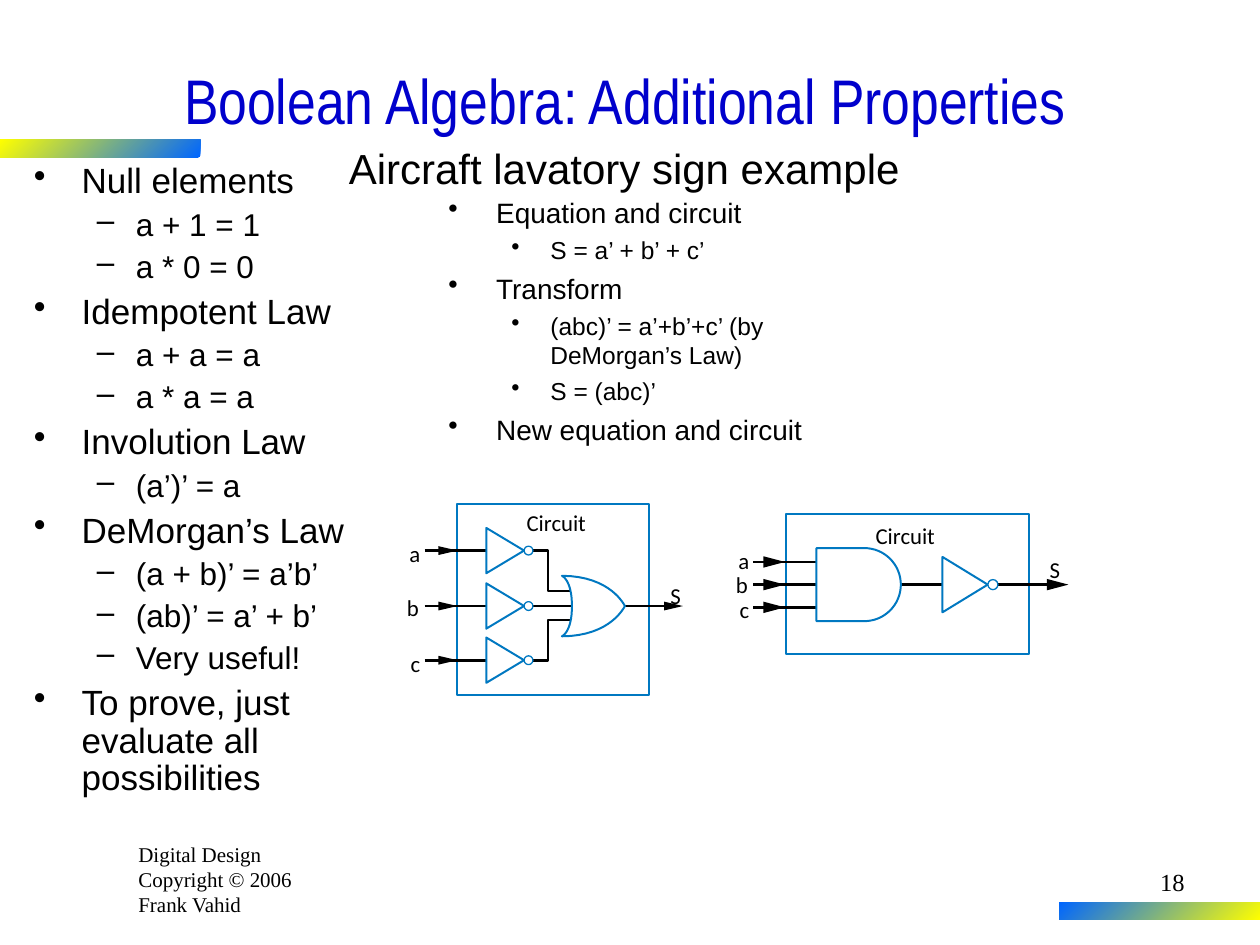
from math import cos, pi, sin
from lxml.etree import SubElement
from pptx import Presentation
from pptx.dml.color import RGBColor
from pptx.enum.shapes import MSO_CONNECTOR, MSO_SHAPE
from pptx.enum.text import MSO_ANCHOR, PP_ALIGN
from pptx.oxml.ns import qn
from pptx.util import Inches, Pt

BLACK, WHITE, BLUE = "000000", "FFFFFF", "0078C1"
PAD = (0.1, 0.05)
LAWS = [
    (0, "Null elements"), (1, "a + 1 = 1"), (1, "a * 0 = 0"),
    (0, "Idempotent Law"), (1, "a + a = a"), (1, "a * a = a"),
    (0, "Involution Law"), (1, "(a’)’ = a"),
    (0, "DeMorgan’s Law"), (1, "(a + b)’ = a’b’"), (1, "(ab)’ = a’ + b’"),
    (1, "Very useful!"), (0, "To prove, just evaluate all possibilities"),
]
STEPS = [
    (0, "Equation and circuit"), (1, "S = a’ + b’ + c’"),
    (0, "Transform"), (1, "(abc)’ = a’+b’+c’ (by DeMorgan’s Law)"),
    (1, "S = (abc)’"), (0, "New equation and circuit"),
]


def color(text):
    """Turn a hex string into a colour."""
    return RGBColor.from_string(text)


def apply(item, values):
    """Set each named value on an object."""
    for name, value in values.items():
        setattr(item, name, value)


def frame(shapes, box, pad=PAD, **values):
    """Add a text box and return its text frame."""
    text = shapes.add_textbox(*map(Inches, box)).text_frame
    side, edge = map(Inches, pad)
    apply(text, dict(margin_left=side, margin_right=side, margin_top=edge,
                     margin_bottom=edge, word_wrap=True) | values)
    return text


def write(para, text, size, face, tint=BLACK):
    """Fill one paragraph with styled text."""
    para.text = text
    apply(para.font, dict(size=Pt(size), name=face))
    para.font.color.rgb = color(tint)


def label(shapes, box, lines, size, face, tint=BLACK, align=PP_ALIGN.LEFT, **values):
    """Add plain lines of text in a box."""
    text = frame(shapes, box, **values)
    for row, line in enumerate(lines):
        para = text.paragraphs[0] if row == 0 else text.add_paragraph()
        para.alignment = align
        write(para, line, size, face, tint)


def outline(shapes, box, items, sizes, marks, gaps, pitch):
    """Add a bulleted list of two levels."""
    text = frame(shapes, box)
    for row, (level, line) in enumerate(items):
        para = text.paragraphs[0] if row == 0 else text.add_paragraph()
        left, hang = ((0.38, 0.38), (0.81, 0.31))[level]
        props = para._p.get_or_add_pPr()
        props.set("marL", str(Inches(left)))
        props.set("indent", str(-Inches(hang)))
        SubElement(props, qn("a:buChar"), char=marks[level])
        apply(para, dict(level=level, line_spacing=pitch,
                         space_before=Pt(gaps[level] if row else 0)))
        write(para, line, sizes[level], "Arial")


def paint(shape, fill=None, line=None, width=1.13):
    """Give a shape its fill and line."""
    shape.shadow.inherit = False
    for part, tint in ((shape.fill, fill), (shape.line.fill, line)):
        if tint:
            part.solid()
            part.fore_color.rgb = color(tint)
        else:
            part.background()
    if line:
        shape.line.width = Pt(width)


def path(shapes, points, close=True, **look):
    """Draw an outline through points."""
    first, *rest = [tuple(map(Inches, point)) for point in points]
    build = shapes.build_freeform(*first)
    build.add_line_segments(rest, close=close)
    paint(build.convert_to_shape(), **look)


def preset(shapes, kind, box, **look):
    """Draw a preset shape."""
    paint(shapes.add_shape(kind, *map(Inches, box)), **look)


def wire(shapes, start, end, y):
    """Draw a level wire."""
    line = shapes.add_connector(MSO_CONNECTOR.STRAIGHT, *map(Inches, (start, y, end, y)))
    line.line.width = Pt(1.62)
    line.line.color.rgb = color(BLACK)
    SubElement(line._element.spPr, qn("a:effectLst"))


def arrow(shapes, tip, y, size):
    """Draw an arrowhead that points right."""
    span, half = size
    path(shapes, [(tip, y), (tip - span, y - half), (tip - span, y + half)], fill=BLACK)


def tag(shapes, x, y, text, width=0.1):
    """Add a small label in the circuit."""
    label(shapes, (x, y, width, 0.22), [text], 13, "Calibri", pad=(0, 0), word_wrap=False)


def negate(shapes, box, dot):
    """Draw an inverter, with its output bubble."""
    x, y, w, h = box
    mid = y + h / 2
    path(shapes, [(x, y), (x + w, mid), (x, y + h)], fill=WHITE, line=BLUE)
    preset(shapes, MSO_SHAPE.OVAL, (x + w, mid - dot / 2, dot, dot),
           fill=WHITE, line=BLUE, width=0.75)


def bend(start, one, two, end, steps=16):
    """Return points along a cubic curve."""
    spots = [step / steps for step in range(steps + 1)]
    return [tuple((1 - t) ** 3 * a + 3 * t * (1 - t) ** 2 * b
                  + 3 * t * t * (1 - t) * c + t ** 3 * d
                  for a, b, c, d in zip(start, one, two, end)) for t in spots]


def either(shapes, box):
    """Draw an OR gate."""
    x, y, w, h = box
    mid, low, inner = y + h / 2, y + h, x + 0.08
    tip = (x + w, mid)
    points = (bend(tip, tip, (x + 0.39, low), (x, low))
              + bend((x, low), (x, low), (inner, low - 0.03), (inner, mid))
              + bend((inner, mid), (inner, y + 0.03), (x, y), (x, y))
              + bend((x, y), (x + 0.39, y), tip, tip))
    path(shapes, points, fill=WHITE, line=BLUE)


def both(shapes, box):
    """Draw an AND gate."""
    x, y, w, h = box
    half = h / 2
    turns = [pi * step / 32 - pi / 2 for step in range(33)]
    curve = [(x + w - half + half * cos(t), y + half + half * sin(t)) for t in turns]
    path(shapes, [(x, y), *curve, (x, y + h)], fill=WHITE, line=BLUE)


def inputs(shapes, x, rows, tip, size, lift):
    """Draw the three named input wires."""
    for name, side, y, up in zip("abc", (0.38, 0.4, 0.37), rows, lift):
        wire(shapes, x - 0.26, x + 0.24, y)
        arrow(shapes, tip, y, size)
        tag(shapes, x - side, y - up, name)


def before(shapes, box):
    """Draw the circuit with three inverters and an OR gate."""
    x, y, w, h = box
    rows = [y + 0.37, y + 0.81, y + 1.24]
    mid = rows[1]
    preset(shapes, MSO_SHAPE.RECTANGLE, box, line=BLUE)
    tag(shapes, x + 0.55, y + 0.04, "Circuit", 0.54)
    inputs(shapes, x, rows, x, (0.15, 0.035), (0.09, 0.1, 0.08))
    for row, join in ((rows[0], mid - 0.12), (rows[2], mid + 0.11)):
        path(shapes, [(x + 0.9, join), (x + 0.72, join), (x + 0.72, row), (x + 0.55, row)],
             close=False, line=BLACK, width=1.62)
    wire(shapes, x + 0.59, x + 0.91, mid)
    wire(shapes, x + 1.33, x + 1.7, mid)
    arrow(shapes, x + 1.79, mid, (0.15, 0.035))
    tag(shapes, x + 1.69, y + 0.62, "S")
    either(shapes, (x + 0.83, y + 0.57, 0.5, 0.48))
    for row in rows:
        negate(shapes, (x + 0.23, row - 0.18, 0.3, 0.36), 0.07)


def after(shapes, box):
    """Draw the circuit with an AND gate and one inverter."""
    x, y, w, h = box
    rows = [y + 0.38, y + 0.56, y + 0.74]
    mid = rows[1]
    preset(shapes, MSO_SHAPE.RECTANGLE, box, line=BLUE)
    tag(shapes, x + 0.71, y + 0.06, "Circuit", 0.54)
    inputs(shapes, x, rows, x - 0.01, (0.17, 0.045), (0.12, 0.11, 0.09))
    wire(shapes, x + 0.87, x + 1.24, mid)
    wire(shapes, x + 1.68, x + 2.13, mid)
    arrow(shapes, x + 2.24, mid, (0.17, 0.045))
    tag(shapes, x + 2.09, y + 0.33, "S")
    both(shapes, (x + 0.24, mid - 0.29, 0.67, 0.58))
    negate(shapes, (x + 1.24, mid - 0.22, 0.36, 0.44), 0.08)


def band(shapes, box, tints):
    """Draw a strip with a colour gradient."""
    strip = shapes.add_shape(MSO_SHAPE.RECTANGLE, *map(Inches, box))
    paint(strip)
    strip.fill.gradient()
    strip.fill.gradient_angle = 135
    for stop, tint in zip(strip.fill.gradient_stops, tints):
        stop.color.rgb = color(tint)


def main():
    """Build and save the slide."""
    deck = Presentation()
    apply(deck, dict(slide_width=Inches(10), slide_height=Inches(7.5)))
    shapes = deck.slides.add_slide(deck.slide_layouts[6]).shapes
    label(shapes, (1, 6.63, 1.67, 0.7), ["Digital Design", "Copyright © 2006", "Frank Vahid"],
          12, "Times New Roman")
    tints = ("0066FF", "FFFF00")
    band(shapes, (0, 1.11, 1.59, 0.14), tints)
    band(shapes, (8.41, 7.16, 1.59, 0.14), tints[::-1])
    label(shapes, (0.25, 0.33, 9.42, 0.92), ["Boolean Algebra: Additional Properties"],
          36, "Arial Narrow", "0000CC", PP_ALIGN.CENTER, vertical_anchor=MSO_ANCHOR.MIDDLE)
    outline(shapes, (0.17, 1.25, 2.67, 5.33), LAWS, (20, 18), "•–", (5, 4.5), 0.9)
    before(shapes.add_group_shape().shapes, (3.63, 4, 1.52, 1.52))
    outline(shapes, (3.46, 1.5, 3.42, 5.33), STEPS, (16, 14), "••", (4, 3.5), 1.0)
    after(shapes.add_group_shape().shapes, (6.24, 4.08, 1.93, 1.11))
    label(shapes, (2.67, 1.08, 4.57, 0.5), ["Aircraft lavatory sign example"],
          24, "Arial", word_wrap=False)
    label(shapes, (7.42, 6.83, 2.08, 0.5), ["18"], 14, "Times New Roman", align=PP_ALIGN.RIGHT)
    deck.save("out.pptx")


if __name__ == "__main__":
    main()
